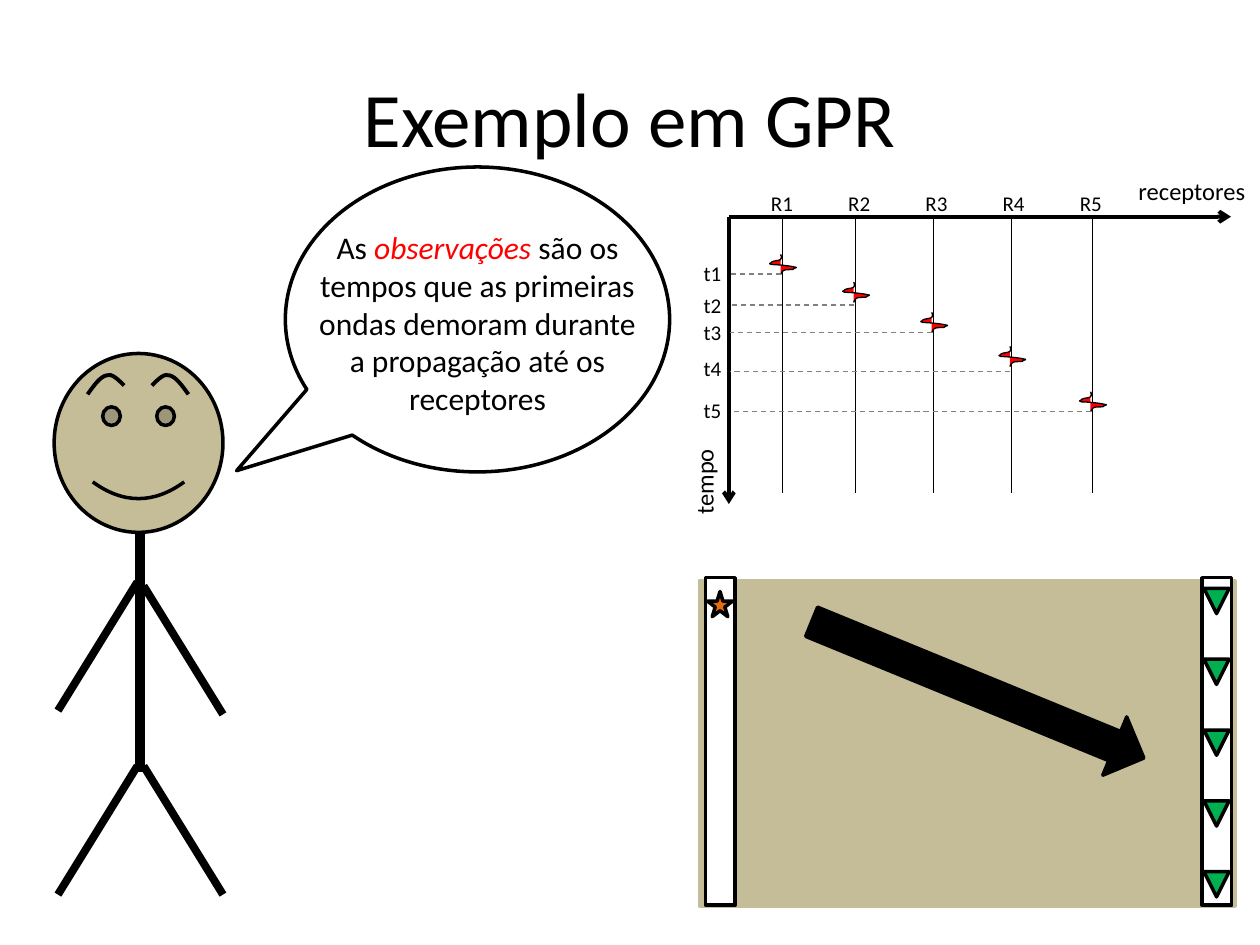
from lxml.etree import SubElement
from pptx import Presentation
from pptx.dml.color import RGBColor
from pptx.enum.dml import MSO_LINE_DASH_STYLE as Dash
from pptx.enum.shapes import MSO_CONNECTOR as Connector, MSO_SHAPE as Shape
from pptx.enum.text import MSO_ANCHOR as Anchor, PP_ALIGN as Align
from pptx.oxml.ns import qn
from pptx.util import Inches, Pt

BLACK = RGBColor(0, 0, 0)
WHITE = RGBColor(255, 255, 255)
SAND = RGBColor(0xC4, 0xBD, 0x97)
RED = RGBColor(255, 0, 0)
GRAY = RGBColor(0x80, 0x80, 0x80)
ORANGE = RGBColor(0xE4, 0x6C, 0x0A)
GREEN = RGBColor(0, 0xB0, 0x50)

COLUMNS, ROWS = 100, 75


class Sketch:
    font_name = "Calibri"

    def __init__(self, presentation):
        self.slide = presentation.slides.add_slide(presentation.slide_layouts[6])
        self.shapes = self.slide.shapes
        self.column = presentation.slide_width / COLUMNS
        self.row = presentation.slide_height / ROWS

    def place(self, x, y):
        return round(x * self.column), round(y * self.row)

    def paint(self, shape, fill, color, weight):
        shape.shadow.inherit = False
        if fill is None:
            shape.fill.background()
        else:
            shape.fill.solid()
            shape.fill.fore_color.rgb = fill
        shape.line.color.rgb = color
        shape.line.width = Pt(weight)

    def shape(self, kind, x, y, width, height, fill=None, color=BLACK,
              rotation=0, adjustments=()):
        shape = self.shapes.add_shape(kind, *self.place(x, y), *self.place(width, height))
        self.paint(shape, fill, color, 2)
        shape.rotation = rotation
        for index, value in enumerate(adjustments):
            shape.adjustments[index] = value

    def line(self, start, end, weight=0.75, color=BLACK, dashed=False, arrow=False):
        connector = self.shapes.add_connector(
            Connector.STRAIGHT, *self.place(*start), *self.place(*end))
        connector.line.color.rgb = color
        connector.line.width = Pt(weight)
        if dashed:
            connector.line.dash_style = Dash.DASH
        properties = connector._element.spPr
        if arrow:
            SubElement(properties.find(qn("a:ln")), qn("a:tailEnd"), type="arrow")
        SubElement(properties, qn("a:effectLst"))

    def curve(self, x, y, controls, fill=None, weight=0.75):
        builder = self.shapes.build_freeform(*self.place(x, y))
        builder.add_line_segments(
            [self.place(x + dx, y + dy) for dx, dy in controls], close=False)
        shape = builder.convert_to_shape()
        outline = next(shape._element.iter(qn("a:path")))
        segments = outline.findall(qn("a:lnTo"))
        for first in range(0, len(segments), 3):
            bezier = SubElement(outline, qn("a:cubicBezTo"))
            for segment in segments[first:first + 3]:
                bezier.append(segment[0])
                outline.remove(segment)
        self.paint(shape, fill, BLACK, weight)

    def text(self, runs, x, y, width, height, size, align=Align.CENTER,
             wrap=False, anchor=Anchor.TOP, rotation=0):
        box = self.shapes.add_textbox(*self.place(x, y), *self.place(width, height))
        box.rotation = rotation
        frame = box.text_frame
        frame.word_wrap = wrap
        frame.vertical_anchor = anchor
        paragraph = frame.paragraphs[0]
        paragraph.alignment = align
        paragraph.font.name = self.font_name
        paragraph.font.size = Pt(size)
        paragraph.font.color.rgb = BLACK
        for content, emphasized in runs:
            run = paragraph.add_run()
            run.text = content
            if emphasized:
                run.font.italic = True
                run.font.color.rgb = RED


def draw_person(sketch):
    sketch.line((11.1, 41.6), (11.1, 61.3), 6)
    for right_top, left_top in ((60.8, 60.8), (46.5, 46.2)):
        sketch.line((11.4, right_top), (17.7, right_top + 10.2), 4.5)
        sketch.line((10.9, left_top), (4.6, left_top + 10.2), 4.5)
    sketch.shape(Shape.SMILEY_FACE, 4.3, 28.05, 13.4, 14.2, SAND, adjustments=[0.047])
    for x, side in ((9.85, -1), (12.05, 1)):
        sketch.curve(x, 30.6, [(side * 0.5, -0.5), (side, -1), (side * 1.4, -0.8),
                               (side * 1.9, -0.7), (side * 2.4, 0), (side * 2.9, 0.7)],
                     weight=2.25)


def draw_speech(sketch):
    sketch.shape(Shape.OVAL_CALLOUT, 22.65, 13.25, 30.5, 24.2, adjustments=[-0.627, 0.496])
    sketch.text([("As ", False), ("observações ", True),
                 ("são os tempos que as primeiras ondas demoram durante "
                  "a propagação até os receptores", False)],
                24.25, 17.6, 27.3, 16.2, 18, wrap=True)


def draw_ground(sketch):
    sketch.shape(Shape.RECTANGLE, 55.5, 46.1, 42.5, 25.8, SAND, SAND)
    sketch.shape(Shape.DOWN_ARROW, 75.1, 40.5, 5, 28.5, BLACK, rotation=292.3)
    for x in (56, 95.4):
        sketch.shape(Shape.RECTANGLE, x, 45.85, 2.35, 26, WHITE)
    sketch.shape(Shape.STAR_5_POINT, 56.15, 46.95, 2, 2, ORANGE)
    for receiver in range(5):
        sketch.shape(Shape.ISOSCELES_TRIANGLE, 95.55, 46.7 + 5.62 * receiver, 2, 2,
                     GREEN, rotation=180)


def draw_seismogram(sketch):
    left, top = 57.85, 17.2
    wavelet = [(0.1, 0.1), (0.2, 0.3), (0, 0.4), (-0.1, 0.5), (-0.6, 0.5), (-0.7, 0.6),
               (-0.8, 0.6), (-0.8, 0.7), (-0.8, 0.7), (-0.8, 0.7), (-1, 0.7), (-0.7, 0.8),
               (-0.3, 0.8), (0.8, 0.9), (1.1, 1), (1.4, 1), (1.2, 1.1), (1.1, 1.1),
               (1.1, 1.2), (0.9, 1.2), (0.8, 1.2), (0.6, 1.2), (0.3, 1.2), (0.2, 1.3),
               (0.1, 1.3), (0.1, 1.5), (0, 1.6)]
    arrivals = [(62.1, 20.2, 21.75, 20.2), (67.9, 22.4, 24.2, 22.7),
                (74.1, 24.8, 26.4, 24.9), (80.3, 27.5, 29.5, 27.7),
                (86.7, 31.1, 32.65, 31.1)]
    for end in ((left, 40), (97.7, top)):
        sketch.line((left, top), end, 2.25, arrow=True)
    sketch.text([("tempo", False)], 51.8, 36.7, 7.9, 3.1, 14, rotation=270)
    sketch.text([("receptores", False)], 89.3, 13.5, 10.6, 3.4, 14)
    for index, (trace, wave_top, time, label_top) in enumerate(arrivals):
        sketch.line((trace, top), (trace, 39.1))
        sketch.curve(trace - 0.15, wave_top, wavelet, RED)
        sketch.line((trace - 0.1, time), (left + 0.1, time), color=GRAY, dashed=True)
        sketch.text([(f"R{index + 1}", False)], 60.2 + 6.13 * index, 14.6, 3.9, 3,
                    12, Align.LEFT)
        sketch.text([(f"t{index + 1}", False)], 54.85, label_top, 3.9, 3, 12, Align.LEFT)


presentation = Presentation()
presentation.slide_width = Inches(10)
presentation.slide_height = Inches(7.5)
sketch = Sketch(presentation)
sketch.text([("Exemplo em GPR", False)], 5, 3, 90, 12.5, 44, wrap=True, anchor=Anchor.MIDDLE)
draw_person(sketch)
draw_speech(sketch)
draw_ground(sketch)
draw_seismogram(sketch)
presentation.save("out.pptx")
